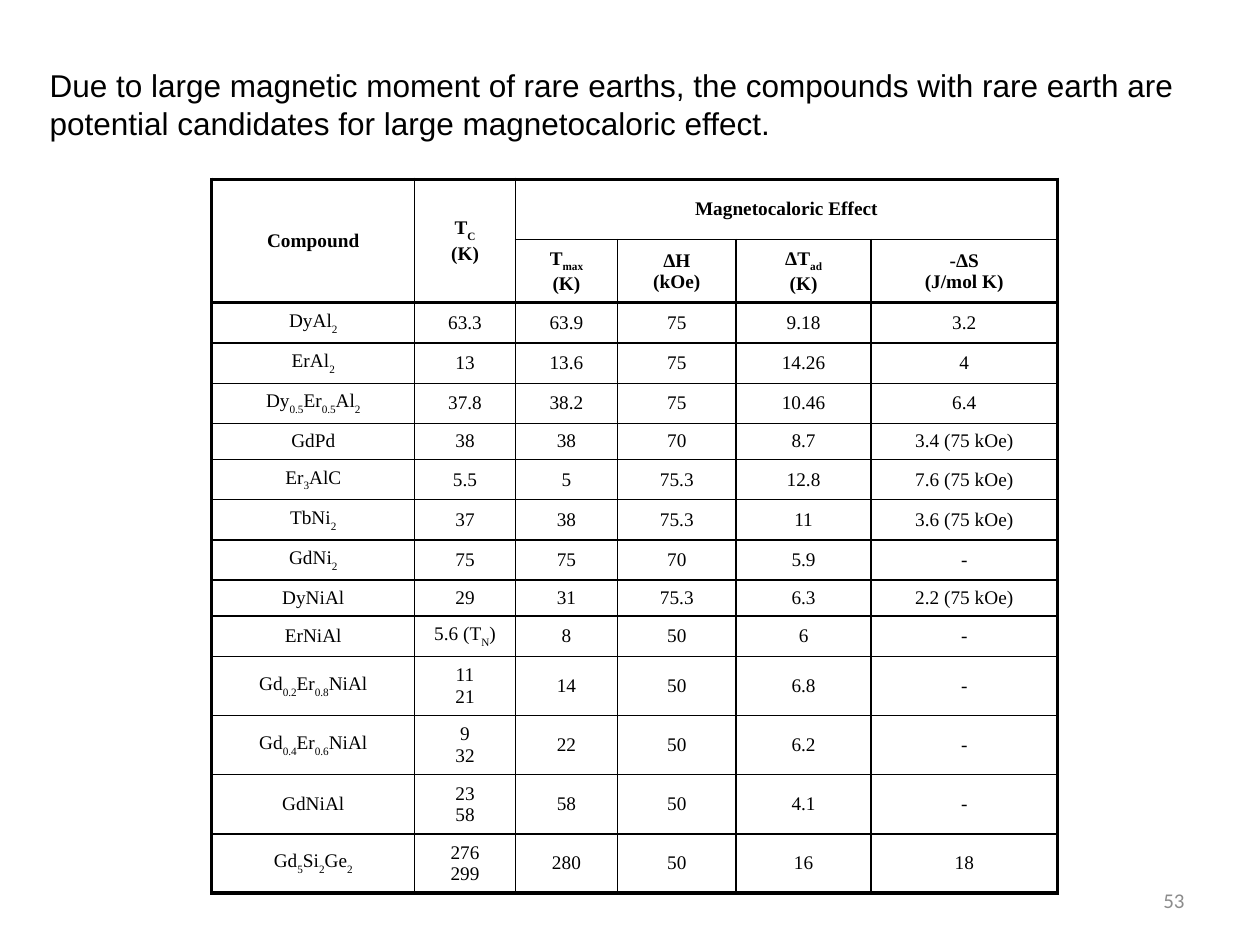
from dataclasses import dataclass

from lxml import etree
from pptx import Presentation
from pptx.dml.color import RGBColor
from pptx.enum.text import MSO_ANCHOR, MSO_AUTO_SIZE, PP_ALIGN
from pptx.oxml.ns import qn
from pptx.util import Cm, Pt

MIDDLE = MSO_ANCHOR.MIDDLE
CENTER, RIGHT = PP_ALIGN.CENTER, PP_ALIGN.RIGHT
GROW = MSO_AUTO_SIZE.SHAPE_TO_FIT_TEXT


@dataclass(frozen=True)
class Theme:
    ink: str = "000000"
    muted: str = "8C8C8C"
    statement_font: str = "Arial"
    table_font: str = "Times New Roman"
    number_font: str = "Calibri"
    statement_size: int = 18
    table_size: int = 11
    number_size: int = 12
    thin: int = 1
    heavy: int = 2


theme = Theme()


def format_run(run, name, size, color, bold=False):
    run.font.name = name
    run.font.size = Pt(size)
    run.font.color.rgb = RGBColor.from_string(color)
    run.font.bold = bold


def add_border(cell, side, width):
    """Draw one side of a cell: L, R, T or B, added in that order."""
    line = etree.SubElement(cell._tc.get_or_add_tcPr(), qn(f"a:ln{side}"), w=str(Pt(width)))
    fill = etree.SubElement(line, qn("a:solidFill"))
    etree.SubElement(fill, qn("a:srgbClr"), val=theme.ink)


presentation = Presentation()
presentation.slide_width = Cm(25.4)
presentation.slide_height = Cm(19.05)
slide = presentation.slides.add_slide(presentation.slide_layouts[6])

# Slide number
number_box = slide.shapes.add_textbox(Cm(18.2), Cm(17.65), Cm(5.93), Cm(1.01))
number_frame = number_box.text_frame
number_frame.word_wrap = True
number_frame.vertical_anchor = MIDDLE
number_frame.text = "53"
number_frame.paragraphs[0].alignment = RIGHT
format_run(number_frame.paragraphs[0].runs[0], theme.number_font, theme.number_size, theme.muted)

# Statement
statement_box = slide.shapes.add_textbox(Cm(0.75), Cm(1.22), Cm(23.73), Cm(1.75))
statement_frame = statement_box.text_frame
statement_frame.word_wrap = True
statement_frame.auto_size = GROW
statement_frame.vertical_anchor = MIDDLE
statement_frame.text = (
    "Due to large magnetic moment of rare earths, the compounds with rare earth are "
    "potential candidates for large magnetocaloric effect."
)
format_run(statement_frame.paragraphs[0].runs[0], theme.statement_font,
           theme.statement_size, theme.ink)

# Table text: underscores enclose subscripts, line breaks separate paragraphs
table_rows = [
    ["Compound", "T_C_\n(K)", "Magnetocaloric Effect", "", "", ""],
    ["", "", "T_max_\n(K)", "ΔH\n(kOe)", "ΔT_ad_\n(K)", "-ΔS\n(J/mol K)"],
    ["DyAl_2_", "63.3", "63.9", "75", "9.18", "3.2"],
    ["ErAl_2_", "13", "13.6", "75", "14.26", "4"],
    ["Dy_0.5_Er_0.5_Al_2_", "37.8", "38.2", "75", "10.46", "6.4"],
    ["GdPd", "38", "38", "70", "8.7", "3.4 (75 kOe)"],
    ["Er_3_AlC", "5.5", "5", "75.3", "12.8", "7.6 (75 kOe)"],
    ["TbNi_2_", "37", "38", "75.3", "11", "3.6 (75 kOe)"],
    ["GdNi_2_", "75", "75", "70", "5.9", "-"],
    ["DyNiAl", "29", "31", "75.3", "6.3", "2.2 (75 kOe)"],
    ["ErNiAl", "5.6 (T_N_)", "8", "50", "6", "-"],
    ["Gd_0.2_Er_0.8_NiAl", "11\n21", "14", "50", "6.8", "-"],
    ["Gd_0.4_Er_0.6_NiAl", "9\n32", "22", "50", "6.2", "-"],
    ["GdNiAl", "23\n58", "58", "50", "4.1", "-"],
    ["Gd_5_Si_2_Ge_2_", "276\n299", "280", "50", "16", "18"],
]
header_rows = 2
column_widths = [4.09, 2.03, 2.06, 2.39, 2.72, 3.76]
row_heights = [1.22] * header_rows + [0.71] * 9 + [1.19] * 4
last_row, last_column = len(row_heights) - 1, len(column_widths) - 1

table = slide.shapes.add_table(
    len(row_heights), len(column_widths), Cm(4.27), Cm(3.61),
    Cm(sum(column_widths)), Cm(sum(row_heights)),
).table
table.first_row = False
table.horz_banding = False
for column, width in zip(table.columns, column_widths):
    column.width = Cm(width)
for row, height in zip(table.rows, row_heights):
    row.height = Cm(height)

table.cell(0, 0).merge(table.cell(1, 0))
table.cell(0, 1).merge(table.cell(1, 1))
table.cell(0, 2).merge(table.cell(0, last_column))

for row_index, texts in enumerate(table_rows):
    for column_index, text in enumerate(texts):
        cell = table.cell(row_index, column_index)
        bottom_row, right_column = row_index, column_index
        if cell.is_merge_origin:
            bottom_row += cell.span_height - 1
            right_column += cell.span_width - 1
        heavy_sides = {
            "L": column_index == 0,
            "R": right_column == last_column,
            "T": row_index in (0, header_rows),
            "B": bottom_row in (header_rows - 1, last_row),
        }
        for side, is_heavy in heavy_sides.items():
            add_border(cell, side, theme.heavy if is_heavy else theme.thin)
        cell.fill.background()
        if cell.is_spanned:
            continue

        cell.vertical_anchor = MIDDLE
        cell.margin_left = cell.margin_right = Cm(0.2)
        cell.margin_top = cell.margin_bottom = Cm(0.13)
        cell.text_frame.text = text
        for paragraph, line_text in zip(cell.text_frame.paragraphs, text.split("\n")):
            paragraph.text = ""
            paragraph.alignment = CENTER
            for part_index, part in enumerate(line_text.split("_")):
                if not part:
                    continue
                run = paragraph.add_run()
                run.text = part
                format_run(run, theme.table_font, theme.table_size, theme.ink,
                           bold=row_index < header_rows)
                if part_index % 2:
                    run.font._element.set("baseline", "-30000")

presentation.save("out.pptx")
